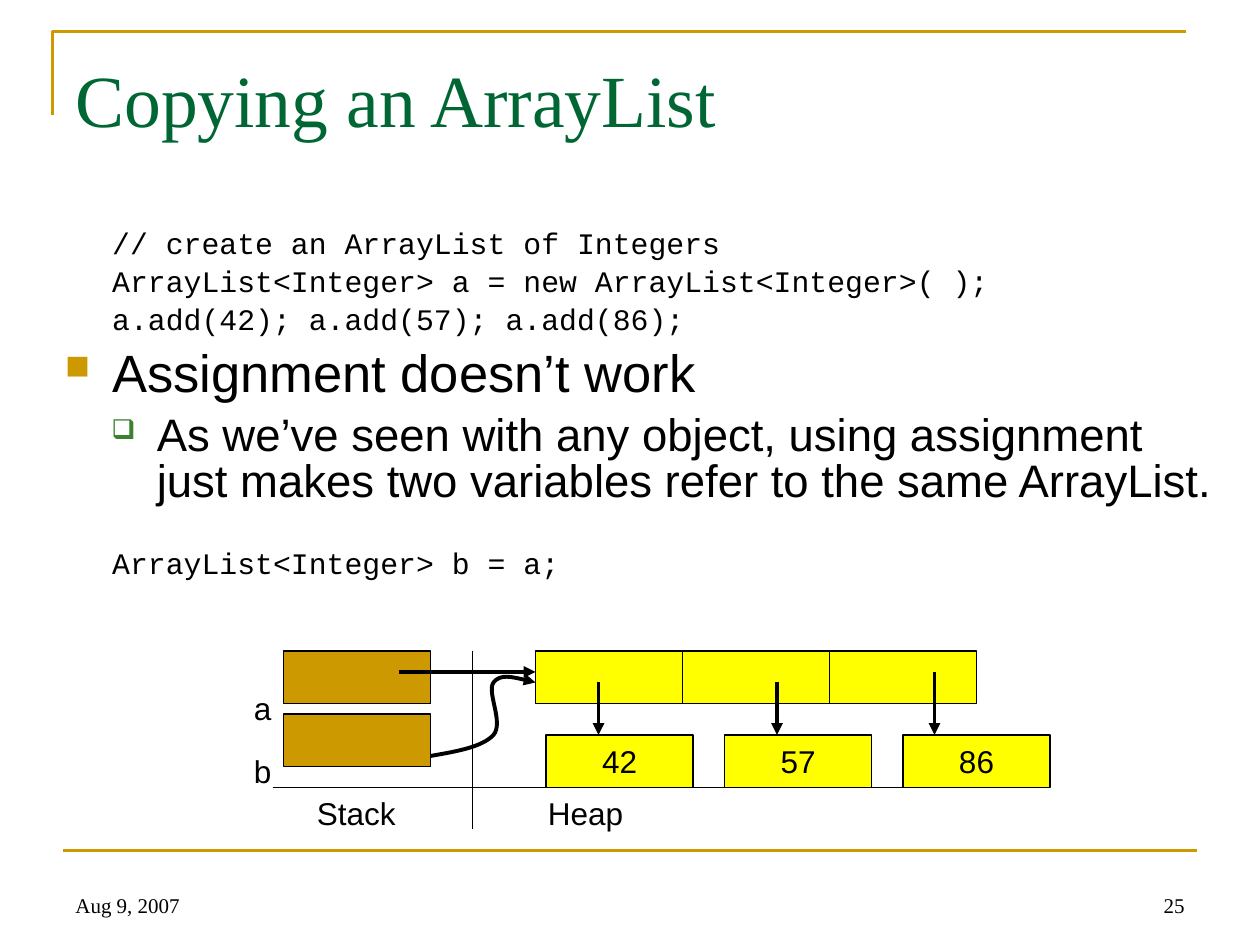
from dataclasses import dataclass

from lxml.etree import SubElement
from pptx import Presentation
from pptx.dml.color import RGBColor
from pptx.enum.shapes import MSO_CONNECTOR, MSO_SHAPE
from pptx.enum.text import MSO_ANCHOR, PP_ALIGN
from pptx.oxml.ns import qn
from pptx.util import Pt


@dataclass(frozen=True)
class Theme:
    gold: str = "CC9900"
    green: str = "006633"
    leaf: str = "3B812F"
    yellow: str = "FFFF00"
    ink: str = "000000"
    serif: str = "Times New Roman"
    sans: str = "Arial"
    mono: str = "Courier New"
    title: int = 42
    bullet: int = 30
    sub_bullet: int = 26
    label: int = 18
    code: int = 17
    footer: int = 12
    thin: float = 0.75
    rule: float = 1.5
    arrow: float = 2.25


T = Theme()


def rgb(value):
    return RGBColor.from_string(value)


def add_run(p, text, size, font, color=T.ink):
    r = p.add_run()
    r.text = text
    r.font.size, r.font.name = Pt(size), font
    r.font.color.rgb = rgb(color)


def add_text_box(s, x, y, w, h, anchor=MSO_ANCHOR.TOP, top_inset=3.6):
    tf = s.shapes.add_textbox(Pt(x), Pt(y), Pt(w), Pt(h)).text_frame
    tf.word_wrap = True
    tf.vertical_anchor = anchor
    tf.margin_top = Pt(top_inset)
    return tf


def set_stroke(sp, color, width, arrow=False):
    sp.line.color.rgb = rgb(color)
    sp.line.width = Pt(width)
    if arrow:
        SubElement(sp.line._get_or_add_ln(), qn("a:tailEnd"), type="triangle")


def add_line(s, x1, y1, x2, y2, color=T.ink, width=T.thin, arrow=False):
    line = s.shapes.add_connector(MSO_CONNECTOR.STRAIGHT, Pt(x1), Pt(y1), Pt(x2), Pt(y2))
    set_stroke(line, color, width, arrow)
    SubElement(line._element.spPr, qn("a:effectLst"))


def add_path(s, points, color, width, arrow=False, curved=False):
    """Open outline; when curved, every three points make one Bezier segment."""
    builder = s.shapes.build_freeform(Pt(points[0][0]), Pt(points[0][1]))
    builder.add_line_segments([(Pt(x), Pt(y)) for x, y in points[1:]], close=False)
    sp = builder.convert_to_shape()
    sp.shadow.inherit = False
    sp.fill.background()
    set_stroke(sp, color, width, arrow)
    if curved:
        path = next(sp._element.iter(qn("a:path")))
        segments = path.findall(qn("a:lnTo"))
        for i in range(0, len(segments), 3):
            curve = SubElement(path, qn("a:cubicBezTo"))
            for segment in segments[i:i + 3]:
                curve.append(segment[0])
                path.remove(segment)


def add_cell(s, x, y, w, h, fill, text=""):
    sp = s.shapes.add_shape(MSO_SHAPE.RECTANGLE, Pt(x), Pt(y), Pt(w), Pt(h))
    sp.shadow.inherit = False
    sp.fill.solid()
    sp.fill.fore_color.rgb = rgb(fill)
    set_stroke(sp, T.ink, T.thin)
    if text:
        tf = sp.text_frame
        tf.word_wrap = False
        tf.vertical_anchor = MSO_ANCHOR.MIDDLE
        p = tf.paragraphs[0]
        p.alignment = PP_ALIGN.CENTER
        add_run(p, text, T.label, T.sans)


def add_bullet(p, char, color, percent):
    pPr = p._p.get_or_add_pPr()
    SubElement(SubElement(pPr, qn("a:buClr")), qn("a:srgbClr"), val=color)
    SubElement(pPr, qn("a:buSzPct"), val=str(percent * 1000))
    SubElement(pPr, qn("a:buChar"), char=char)


def set_indent(p, left, first):
    pPr = p._p.get_or_add_pPr()
    pPr.set("marL", str(Pt(left)))
    pPr.set("indent", str(Pt(first)))


def title_region(s, x, y, w, h):
    # Corner rule, then the heading below it
    add_path(s, [(x, y + 48), (x, y), (x + w, y)], T.gold, T.rule)
    tf = add_text_box(s, x + 6, y + 3.6, w, h, top_inset=9)
    add_run(tf.paragraphs[0], "Copying an ArrayList", T.title, T.serif, T.green)


def body_region(s, x, y, w, h):
    code = (T.code, T.mono, 27, 0, None)
    bullet = (T.bullet, T.sans, 27, -27, ("■", T.gold, 65))
    sub_bullet = (T.sub_bullet, T.sans, 52.5, -26, ("❑", T.leaf, 60))
    lines = [
        ("// create an ArrayList of Integers", code, 0),
        ("ArrayList<Integer> a = new ArrayList<Integer>( );", code, 4.2),
        ("a.add(42); a.add(57); a.add(86);", code, 4.2),
        ("Assignment doesn’t work", bullet, 7.5),
        ("As we’ve seen with any object, using assignment just makes two "
         "variables refer to the same ArrayList.", sub_bullet, 6.5),
        ("ArrayList<Integer> b = a;", code, 25),
    ]
    tf = add_text_box(s, x, y, w, h, top_inset=5.6)
    for i, (text, (size, font, left, first, mark), before) in enumerate(lines):
        p = tf.add_paragraph() if i else tf.paragraphs[0]
        set_indent(p, left, first)
        if mark:
            add_bullet(p, *mark)
        p.line_spacing = 0.85
        p.space_before = Pt(before)
        add_run(p, text, size, font)


def memory_region(s, x, y, w, h):
    cell_w, cell_h = 84, 30
    stack_x, heap_x = x + 24, x + 168
    floor = y + 78

    # Stack variables
    for i, name in enumerate("ab"):
        add_cell(s, stack_x, y + 36 * i, cell_w, cell_h, T.gold)
        tf = add_text_box(s, x, y + 18 + 36 * i, 24, 28.8)
        add_run(tf.paragraphs[0], name, T.label, T.sans)

    # Array slots on the heap
    for i in range(3):
        add_cell(s, heap_x + i * cell_w, y, cell_w, cell_h, T.yellow)

    # Dividers and area names
    add_line(s, x + 132, y, x + 132, y + h)
    add_line(s, x + 18, floor, x + 426, floor)
    for name, left, width in (("Stack", x + 36, 84), ("Heap", heap_x, 66)):
        tf = add_text_box(s, left, floor, width, 28.8)
        add_run(tf.paragraphs[0], name, T.label, T.sans)

    # References from both variables to the array
    add_line(s, x + 90, y + 12, heap_x, y + 12, width=T.arrow, arrow=True)
    bend = [(108, 60), (122.5, 57.5), (137.5, 55), (144, 48), (150, 41), (140, 23.5),
            (144, 18), (148, 13), (158, 15.5), (168, 18)]
    add_path(s, [(x + dx, y + dy) for dx, dy in bend], T.ink, T.arrow, arrow=True, curved=True)

    # Integer objects and the references to them
    elements = (("42", 204, 18), ("57", 306, 18), ("86", 396, 12))
    for i, (value, dx, dy) in enumerate(elements):
        top = floor - cell_h
        add_cell(s, heap_x + 6 + 102 * i, top, cell_w, cell_h, T.yellow, value)
        add_line(s, x + dx, y + dy, x + dx, top, width=T.arrow, arrow=True)


def footer_region(s, x, y, w, h):
    add_line(s, x, y, x + w, y, T.gold, T.rule)
    box_w = 168
    for text, left, align in (("Aug 9, 2007", x, PP_ALIGN.LEFT),
                              ("25", x + w - box_w, PP_ALIGN.RIGHT)):
        p = add_text_box(s, left, y + 6, box_w, h - 6, MSO_ANCHOR.BOTTOM).paragraphs[0]
        p.alignment = align
        add_run(p, text, T.footer, T.serif)


def main():
    prs = Presentation()
    prs.slide_width, prs.slide_height = Pt(720), Pt(540)
    s = prs.slides.add_slide(prs.slide_layouts[6])
    title_region(s, 30, 18, 648, 90)
    body_region(s, 30, 126, 672, 228)
    memory_region(s, 138, 372, 462, 102)
    footer_region(s, 36, 486, 648, 42)
    prs.save("out.pptx")


if __name__ == "__main__":
    main()
